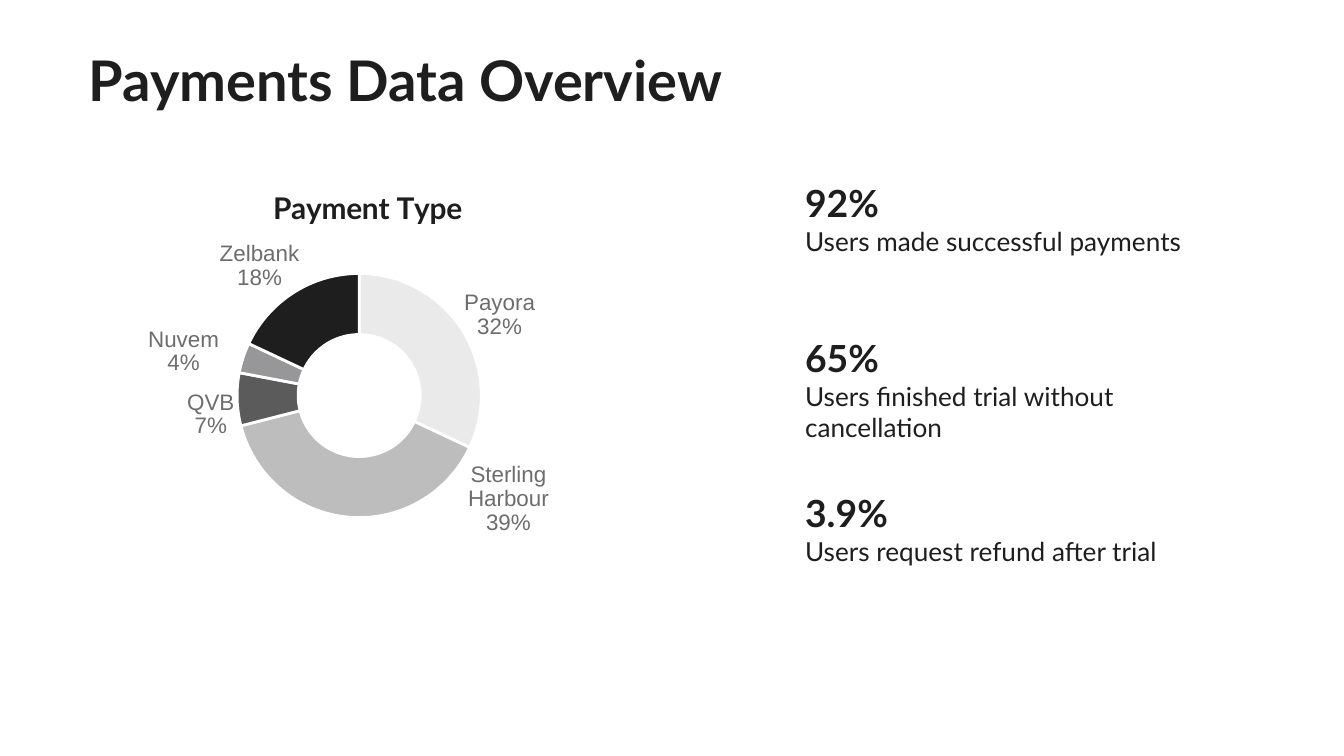
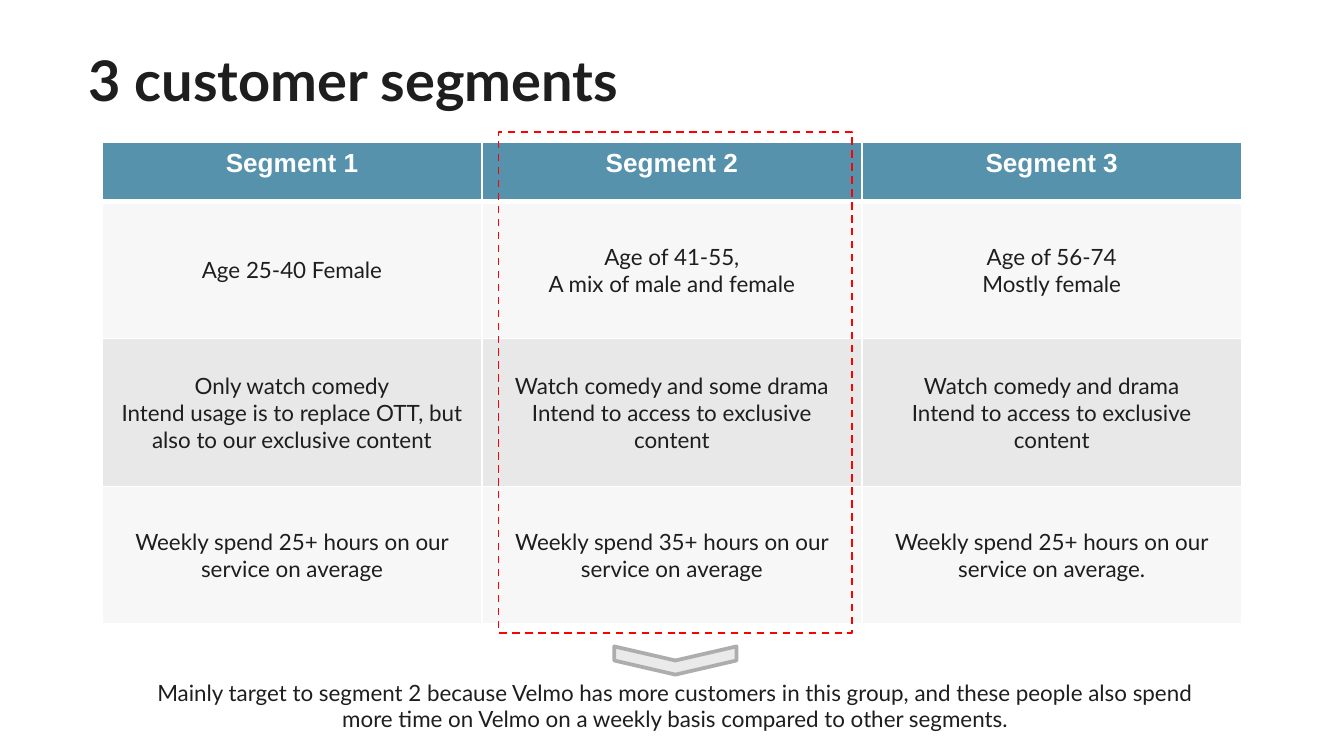
from lxml import etree
from pptx import Presentation
from pptx.chart import data as chart_data
from pptx.dml import color
from pptx.enum import chart as chart_kinds, dml, shapes, text
from pptx.oxml import ns, parse_xml
from pptx.util import Inches, Pt

INK, WHITE, GRAY = "1E1E1E", "FFFFFF", "6D6D6D"
HEADER, PALE, MID = "5792AD", "F7F7F7", "E8E8E8"
HEAD_FONT, BASE_FONT = "Lato", "Arial"

PAYMENTS = [
    ("Payora", 32, "EAEAEA", (0.1, -0.08)),
    ("Sterling Harbour", 39, "BDBDBD", (0.25, 0.03)),
    ("QVB", 7, "5B5B5B", (-0.09, 0.04)),
    ("Nuvem", 4, "979698", (-0.14, -0.04)),
    ("Zelbank", 18, INK, (-0.08, -0.13)),
]
STATS = [
    ("92%", "Users made successful payments"),
    ("65%", "Users finished trial without cancellation"),
    ("3.9%", "Users request refund after trial"),
]
SEGMENTS = [
    ["Segment 1", "Segment 2", "Segment 3"],
    ["Age 25-40 Female",
     "Age of 41-55,\nA mix of male and female",
     "Age of 56-74\nMostly female"],
    ["Only watch comedy\nIntend usage is to replace OTT, but also to our exclusive content",
     "Watch comedy and some drama\nIntend to access to exclusive content",
     "Watch comedy and drama\nIntend to access to exclusive content"],
    ["Weekly spend 25+ hours on our service on average",
     "Weekly spend 35+ hours on our service on average",
     "Weekly spend 25+ hours on our service on average."],
]


def rgb(value):
    """Turn a hex string into a colour."""
    return color.RGBColor.from_string(value)


def style_font(font, size, name=HEAD_FONT, ink=INK, bold=False):
    """Set the look of a font."""
    font.size, font.name, font.bold = Pt(size), name, bold
    font.color.rgb = rgb(ink)


def place(shape, left, top, width, height):
    """Move and size a shape in inches."""
    shape.left, shape.top = Inches(left), Inches(top)
    shape.width, shape.height = Inches(width), Inches(height)


def prepare_frame(frame, inset=0.02):
    """Wrap a text frame from the top with even insets."""
    frame.word_wrap = True
    frame.vertical_anchor = text.MSO_ANCHOR.TOP
    frame.margin_left = frame.margin_right = Inches(inset)
    frame.margin_top = frame.margin_bottom = Inches(inset)


def add_page(deck, title, width):
    """Add a slide with its title."""
    page = deck.slides.add_slide(deck.slide_layouts[5])
    box = page.shapes.title
    place(box, 0.64, 0.32, width, 0.4)
    prepare_frame(box.text_frame)
    box.text_frame.auto_size = text.MSO_AUTO_SIZE.NONE
    box.text_frame.text = title
    para = box.text_frame.paragraphs[0]
    para.alignment = text.PP_ALIGN.LEFT
    style_font(para.font, 30, bold=True)
    return page


def add_text(page, area, lines, inset=0.02, align=text.PP_ALIGN.LEFT):
    """Add a text box from (wording, size, bold) lines."""
    frame = page.shapes.add_textbox(*map(Inches, area)).text_frame
    prepare_frame(frame, inset)
    frame.text = "\n".join(line[0] for line in lines)
    for para, (_, size, bold) in zip(frame.paragraphs, lines):
        para.alignment = align
        style_font(para.font, size, bold=bold)


def set_layout(parent, index, edge=False, target="", **values):
    """Give a chart part a manual layout."""
    for old in parent.findall(ns.qn("c:layout")):
        parent.remove(old)
    layout = etree.Element(ns.qn("c:layout"))
    manual = etree.SubElement(layout, ns.qn("c:manualLayout"))
    settings = {"layoutTarget": target} if target else {}
    if edge:
        settings.update(xMode="edge", yMode="edge")
    for name, value in {**settings, **values}.items():
        etree.SubElement(manual, ns.qn(f"c:{name}"), val=str(value))
    parent.insert(index, layout)


def format_label(series, index, offset):
    """Show category and percent in an outside label."""
    style_font(series.points[index].data_label.font, 12, BASE_FONT, GRAY)
    item = series._element.xpath(f"c:dLbls/c:dLbl[c:idx/@val='{index}']")[0]
    set_layout(item, 1, x=offset[0], y=offset[1])
    shown = ("showCatName", "showPercent")
    for name in ("showVal", *shown):
        item.find(ns.qn(f"c:{name}")).set("val", str(int(name in shown)))
    etree.SubElement(item, ns.qn("c:separator")).text = "\n"


def add_doughnut(page):
    """Add the payment type doughnut chart."""
    source = chart_data.CategoryChartData()
    source.categories = [payment[0] for payment in PAYMENTS]
    source.add_series("Series 1", [payment[1] for payment in PAYMENTS])
    area = map(Inches, (0.3, 1.32, 4.7, 2.98))
    chart = page.shapes.add_chart(chart_kinds.XL_CHART_TYPE.DOUGHNUT, *area, source).chart
    style_font(chart.font, 10, BASE_FONT)
    chart.has_legend = False
    chart.has_title = True
    chart.chart_title.text_frame.text = "Payment Type"
    style_font(chart.chart_title.text_frame.paragraphs[0].font, 16, bold=True)
    root = chart._chartSpace
    set_layout(root.find(".//" + ns.qn("c:title")), 1, True, x=0.36, y=0.01)
    set_layout(root.find(".//" + ns.qn("c:plotArea")), 0, True, "inner",
               x=0.31, y=0.24, w=0.39, h=0.61)
    root.find(".//" + ns.qn("c:holeSize")).set("val", "63")
    series = chart.plots[0].series[0]
    labels = series.data_labels
    labels.show_value = False
    labels.show_category_name = labels.show_percentage = True
    style_font(labels.font, 12, BASE_FONT, GRAY)
    for index, (_, _, fill, offset) in enumerate(PAYMENTS):
        point = series.points[index]
        point.format.fill.solid()
        point.format.fill.fore_color.rgb = rgb(fill)
        point.format.line.color.rgb = rgb(WHITE)
        point.format.line.width = Pt(1.5)
        format_label(series, index, offset)
    for leader in root.iter(ns.qn("c:showLeaderLines")):
        leader.set("val", "0")


def set_borders(cell, bottom):
    """Draw white borders around a table cell."""
    props = cell._tc.get_or_add_tcPr()
    for index, (side, width) in enumerate(zip("LRTB", (1, 1, 1, bottom))):
        props.insert(index, parse_xml(
            f'<a:ln{side} {ns.nsdecls("a")} w="{Pt(width)}"><a:solidFill>'
            f'<a:srgbClr val="{WHITE}"/></a:solidFill></a:ln{side}>'))


def add_segments(page):
    """Add the customer segment table."""
    area = map(Inches, (0.76, 1.06, 8.48, 3.58))
    table = page.shapes.add_table(len(SEGMENTS), 3, *area).table
    for column in table.columns:
        column.width = Inches(8.48 / 3)
    fills = (HEADER, PALE, MID, PALE)
    for r, (height, fill) in enumerate(zip((0.44, 1.02, 1.1, 1.02), fills)):
        table.rows[r].height = Inches(height)
        for c, wording in enumerate(SEGMENTS[r]):
            cell = table.cell(r, c)
            cell.text = wording
            cell.fill.solid()
            cell.fill.fore_color.rgb = rgb(fill)
            cell.vertical_anchor = text.MSO_ANCHOR.MIDDLE if r else text.MSO_ANCHOR.TOP
            set_borders(cell, 1 if r else 3)
            for para in cell.text_frame.paragraphs:
                para.alignment = text.PP_ALIGN.CENTER
                if r:
                    style_font(para.font, 12)
                else:
                    style_font(para.font, 14, BASE_FONT, WHITE, True)


def add_outline(page, kind, area, line, width, fill=None):
    """Add an outlined preset shape, filled if a fill is given."""
    shape = page.shapes.add_shape(kind, *map(Inches, area))
    shape.shadow.inherit = False
    shape.line.color.rgb = rgb(line)
    shape.line.width = Pt(width)
    if fill:
        shape.fill.solid()
        shape.fill.fore_color.rgb = rgb(fill)
    else:
        shape.fill.background()
    return shape


def build_payments(deck):
    """Build the payments slide."""
    page = add_page(deck, "Payments Data Overview", 5.33)
    add_doughnut(page)
    for index, (figure, note) in enumerate(STATS):
        area = (5.97, 1.32 + 2.31 / 2 * index, 3.18, 0.56)
        add_text(page, area, [(figure, 20, True), (note, 14, False)])


def build_segments(deck):
    """Build the customer segments slide."""
    page = add_page(deck, "3 customer segments", 8.5)
    add_segments(page)
    kinds = shapes.MSO_SHAPE
    focus = add_outline(page, kinds.RECTANGLE, (3.71, 0.98, 2.63, 3.73), "FF0000", 1)
    focus.line.dash_style = dml.MSO_LINE.DASH
    conclusion = ("Mainly target to segment 2 because Velmo has more customers in this group, "
                  "and these people also spend more time on Velmo on a weekly basis "
                  "compared to other segments.")
    add_text(page, (1.13, 5.05, 7.79, 0.4), [(conclusion, 12, False)], 0, text.PP_ALIGN.CENTER)
    arrow = add_outline(page, kinds.CHEVRON, (4.92, 4.46, 0.21, 0.91), "ADADAD", 2, "EAEAEA")
    arrow.rotation = 90


def main():
    """Build and save the deck."""
    deck = Presentation()
    deck.slide_width = Inches(10)
    deck.slide_height = deck.slide_width * 9 // 16
    build_payments(deck)
    build_segments(deck)
    deck.save("out.pptx")


if __name__ == "__main__":
    main()
